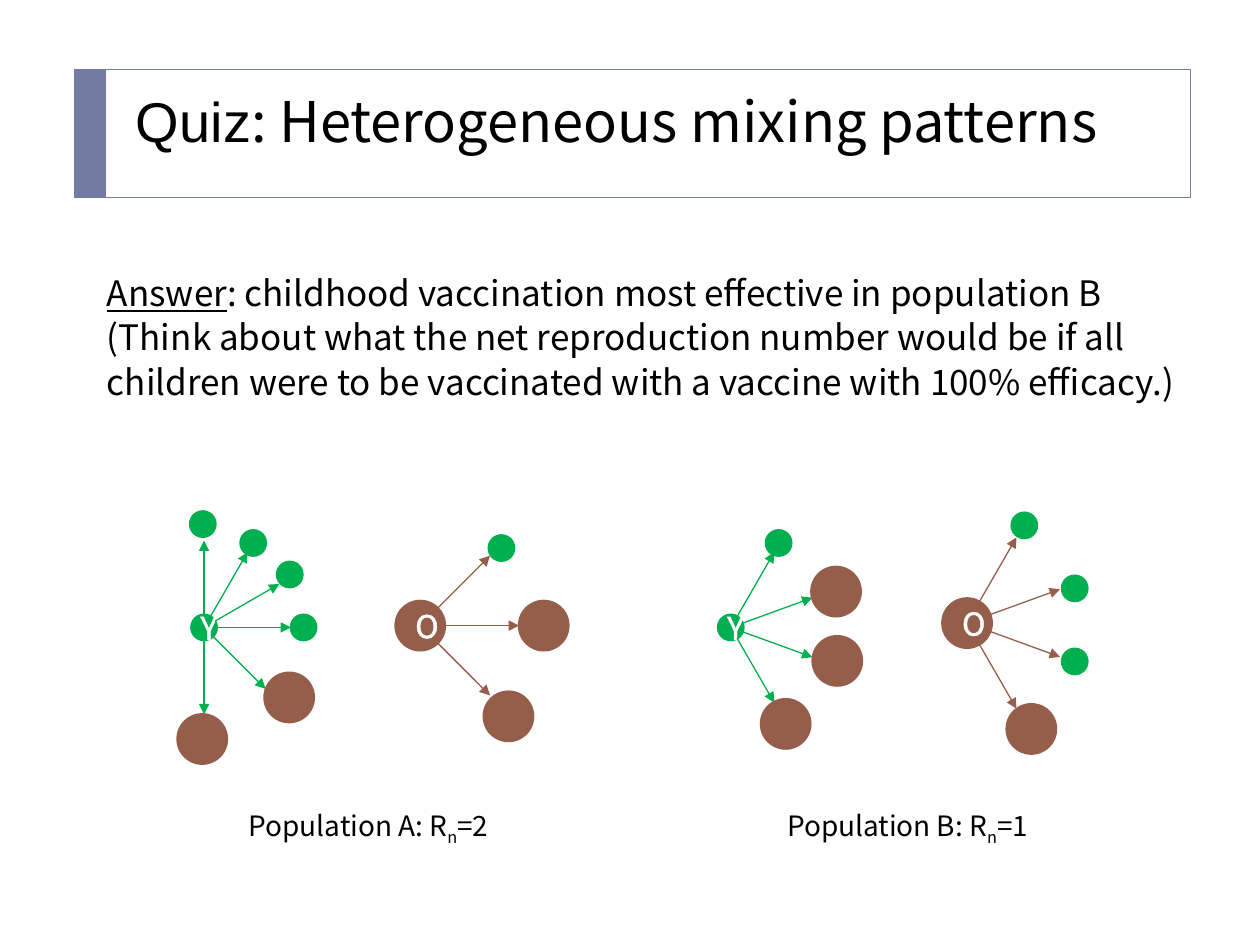
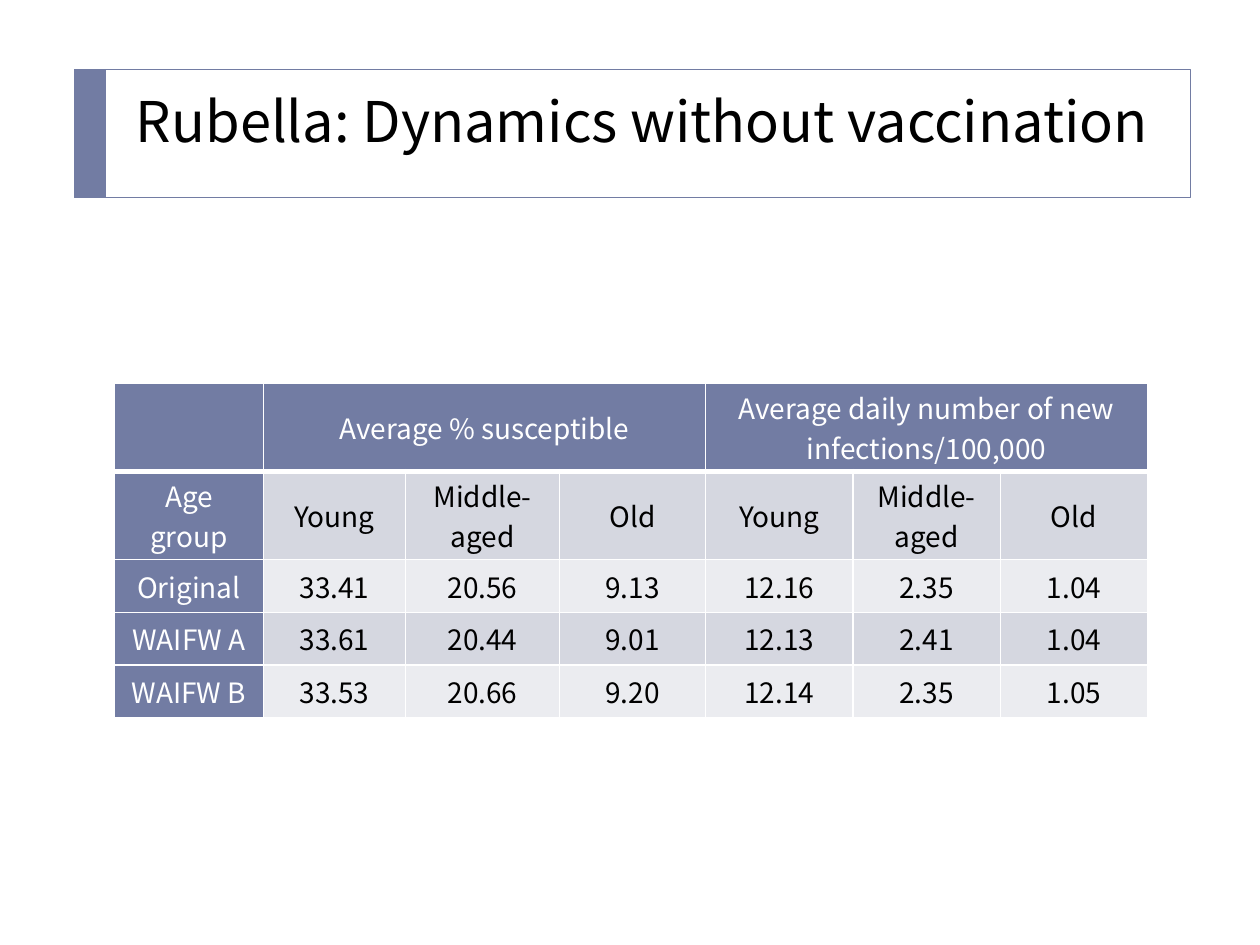
from math import cos, radians, sin

from lxml.etree import SubElement
from pptx import Presentation
from pptx.dml.color import RGBColor
from pptx.enum.shapes import MSO_CONNECTOR, MSO_SHAPE
from pptx.enum.text import MSO_ANCHOR, MSO_AUTO_SIZE, PP_ALIGN
from pptx.oxml import parse_xml
from pptx.oxml.ns import nsdecls, qn
from pptx.util import Emu, Pt

PX = 9144  # one px is a hundredth of an inch
FONT = "Noto Sans CJK KR"
COLORS = {
    "accent": "727CA3",
    "band_dark": "D5D7E0",
    "band_light": "EBECF0",
    "young": "00B050",
    "old": "955E4B",
    "text": "000000",
    "white": "FFFFFF",
}
DIAMETERS = {"young": 20, "old": 39}
ARROW_LENGTH = 59

# Each hub: kind, letter, left, top, arrow angles, contacts (kind, left, top)
HUBS = [
    ("young", "Y", 152, 488, (-90, -60, -30, 0, 45, 90),
     [("young", 151, 406), ("young", 191, 421), ("young", 220, 446),
      ("young", 231, 488), ("old", 210, 534), ("old", 141, 567)]),
    ("old", "O", 314, 477, (-45, 0, 45),
     [("young", 388, 425), ("old", 412, 477), ("old", 384, 549)]),
    ("young", "Y", 570, 488, (-60, -20, 20, 60),
     [("young", 608, 421), ("old", 644, 450), ("old", 645, 505), ("old", 604, 555)]),
    ("old", "O", 748, 475, (-60, -20, 20, 60),
     [("young", 803, 407), ("young", 843, 457), ("young", 843, 515), ("old", 799, 559)]),
]

COLUMN_WIDTHS = [118, 113, 122, 116, 117, 117, 117]
ROW_HEIGHTS = [70, 70, 42, 42, 42]
AGE_GROUPS = ["Young", "Middle-aged", "Old"]
TABLE_ROWS = [
    ["", "Average % susceptible", "", "", "Average daily number of new infections/100,000", "", ""],
    ["Age group"] + AGE_GROUPS * 2,
    ["Original", "33.41", "20.56", "9.13", "12.16", "2.35", "1.04"],
    ["WAIFW A", "33.61", "20.44", "9.01", "12.13", "2.41", "1.04"],
    ["WAIFW B", "33.53", "20.66", "9.20", "12.14", "2.35", "1.05"],
]


def px(*lengths):
    return [Emu(round(length * PX)) for length in lengths]


def color(name):
    return RGBColor.from_string(COLORS[name])


def format_run(run, size, color_name="text", font=FONT):
    run.font.size = Pt(size)
    run.font.name = font
    run.font.color.rgb = color(color_name)


def add_runs(paragraph, texts, size):
    for text in texts:
        run = paragraph.add_run()
        run.text = text
        format_run(run, size)
    return paragraph.runs


def add_text_box(slide, left, top, width, height):
    text_frame = slide.shapes.add_textbox(*px(left, top, width, height)).text_frame
    text_frame.word_wrap = True
    return text_frame


def add_shape(slide, preset, left, top, width, height, fill=None, line=None, line_width=0.5):
    shape = slide.shapes.add_shape(preset, *px(left, top, width, height))
    shape.shadow.inherit = False
    if fill:
        shape.fill.solid()
        shape.fill.fore_color.rgb = color(fill)
    else:
        shape.fill.background()
    if line:
        shape.line.color.rgb = color(line)
        shape.line.width = Pt(line_width)
    else:
        shape.line.fill.background()
    return shape


# Shared title: frame, side bar and heading
def add_titled_slide(presentation, *title_parts):
    slide = presentation.slides.add_slide(presentation.slide_layouts[6])
    add_shape(slide, MSO_SHAPE.RECTANGLE, 59, 55, 886, 102, line="accent")
    add_shape(slide, MSO_SHAPE.RECTANGLE, 59, 55, 25, 102, fill="accent")
    paragraph = add_text_box(slide, 98, 70, 831, 70).paragraphs[0]
    paragraph.line_spacing = 0.9
    add_runs(paragraph, title_parts, 32)
    return slide, paragraph


# Mixing diagrams
def add_circle(slide, kind, left, top, letter=None):
    diameter = DIAMETERS[kind]
    circle = add_shape(slide, MSO_SHAPE.OVAL, left, top, diameter, diameter, kind, kind, 1.5)
    if letter:
        text_frame = circle.text_frame
        text_frame.text = letter
        text_frame.vertical_anchor = MSO_ANCHOR.MIDDLE
        paragraph = text_frame.paragraphs[0]
        paragraph.alignment = PP_ALIGN.CENTER
        run = paragraph.runs[0]
        format_run(run, 18, "white")
        run._r.get_or_add_rPr().insert(0, parse_xml(
            f'<a:ln {nsdecls("a")} w="{Pt(0.75)}"><a:solidFill>'
            f'<a:srgbClr val="{COLORS["white"]}"/></a:solidFill></a:ln>'))


def add_arrow(slide, start, end, color_name):
    arrow = slide.shapes.add_connector(MSO_CONNECTOR.STRAIGHT, *px(*start, *end))
    arrow.line.color.rgb = color(color_name)
    arrow.line.width = Pt(0.75)
    SubElement(arrow.line._get_or_add_ln(), qn("a:tailEnd"), type="triangle")
    SubElement(arrow._element.spPr, qn("a:effectLst"))


def add_hub(slide, kind, letter, left, top, angles, contacts):
    radius = DIAMETERS[kind] / 2

    def point(distance, angle):
        return (left + radius + distance * cos(radians(angle)),
                top + radius + distance * sin(radians(angle)))

    add_circle(slide, kind, left, top, letter)
    for angle in angles:
        add_arrow(slide, point(radius, angle), point(radius + ARROW_LENGTH, angle), kind)
    for contact in contacts:
        add_circle(slide, *contact)


def add_caption(slide, left, width, population, value, alignment):
    text_frame = add_text_box(slide, left, 637, width, 37)
    text_frame.word_wrap = False
    text_frame.auto_size = MSO_AUTO_SIZE.SHAPE_TO_FIT_TEXT
    paragraph = text_frame.paragraphs[0]
    paragraph.alignment = alignment
    runs = add_runs(paragraph, [f"Population {population}: R", "n", f"={value}"], 16)
    runs[1]._r.get_or_add_rPr().set("baseline", "-25000")


def add_answer(slide):
    text_frame = add_text_box(slide, 75, 214, 891, 500)
    text_frame.text = "\n".join([
        "",
        "(Think about what the net reproduction number would be if all",
        "children were to be vaccinated with a vaccine with 100% efficacy.)",
    ])
    first, *others = text_frame.paragraphs
    add_runs(first, ["Answer", ": childhood vaccination most effective in population B"], 20)
    first.runs[0].font.underline = True
    first.line_spacing = 0.9
    for paragraph in others:
        paragraph.line_spacing = 0.9
        paragraph.space_before = Pt(4)
        format_run(paragraph.runs[0], 20)


# Table
def set_borders(cell, bottom_width):
    properties = cell._tc.get_or_add_tcPr()
    for side, width in (("L", 1), ("R", 1), ("T", 1), ("B", bottom_width)):
        border = SubElement(properties, qn(f"a:ln{side}"), w=str(Pt(width)))
        fill = SubElement(border, qn("a:solidFill"))
        SubElement(fill, qn("a:srgbClr"), val=COLORS["white"])


def fill_cell(cell, text, row, column):
    is_header = row == 0 or column == 0
    band = "band_dark" if row % 2 else "band_light"
    set_borders(cell, 3 if row == 0 else 1)
    cell.fill.solid()
    cell.fill.fore_color.rgb = color("accent" if is_header else band)
    cell.margin_left, cell.margin_right, cell.margin_top, cell.margin_bottom = px(7, 7, 0, 0)
    cell.vertical_anchor = MSO_ANCHOR.MIDDLE
    cell.text = text
    paragraph = cell.text_frame.paragraphs[0]
    paragraph.alignment = PP_ALIGN.CENTER
    for run in paragraph.runs:
        format_run(run, 16, "white" if is_header else "text")


def add_results_table(slide):
    frame = slide.shapes.add_table(
        len(ROW_HEIGHTS), len(COLUMN_WIDTHS),
        *px(91, 304, sum(COLUMN_WIDTHS), sum(ROW_HEIGHTS)))
    table = frame.table
    table.first_row = table.horz_banding = False
    for column, width in zip(table.columns, px(*COLUMN_WIDTHS)):
        column.width = width
    for row, height in zip(table.rows, px(*ROW_HEIGHTS)):
        row.height = height
    for row, texts in enumerate(TABLE_ROWS):
        for column, text in enumerate(texts):
            fill_cell(table.cell(row, column), text, row, column)
    for first in (1, 4):
        table.cell(0, first).merge(table.cell(0, first + 2))


def main():
    presentation = Presentation()
    presentation.slide_width, presentation.slide_height = px(1000, 750)

    # Slide 1: quiz answer
    slide, title = add_titled_slide(presentation, "Quiz", ": Heterogeneous mixing patterns")
    title.runs[0].font.name = "Arial"
    add_answer(slide)
    add_caption(slide, 185, 215, "A", 2, PP_ALIGN.CENTER)
    add_caption(slide, 615, 214, "B", 1, PP_ALIGN.LEFT)
    for hub in HUBS:
        add_hub(slide, *hub)

    # Slide 2: rubella results
    slide, _ = add_titled_slide(presentation, "Rubella: Dynamics without vaccination")
    add_results_table(slide)

    presentation.save("out.pptx")


if __name__ == "__main__":
    main()
